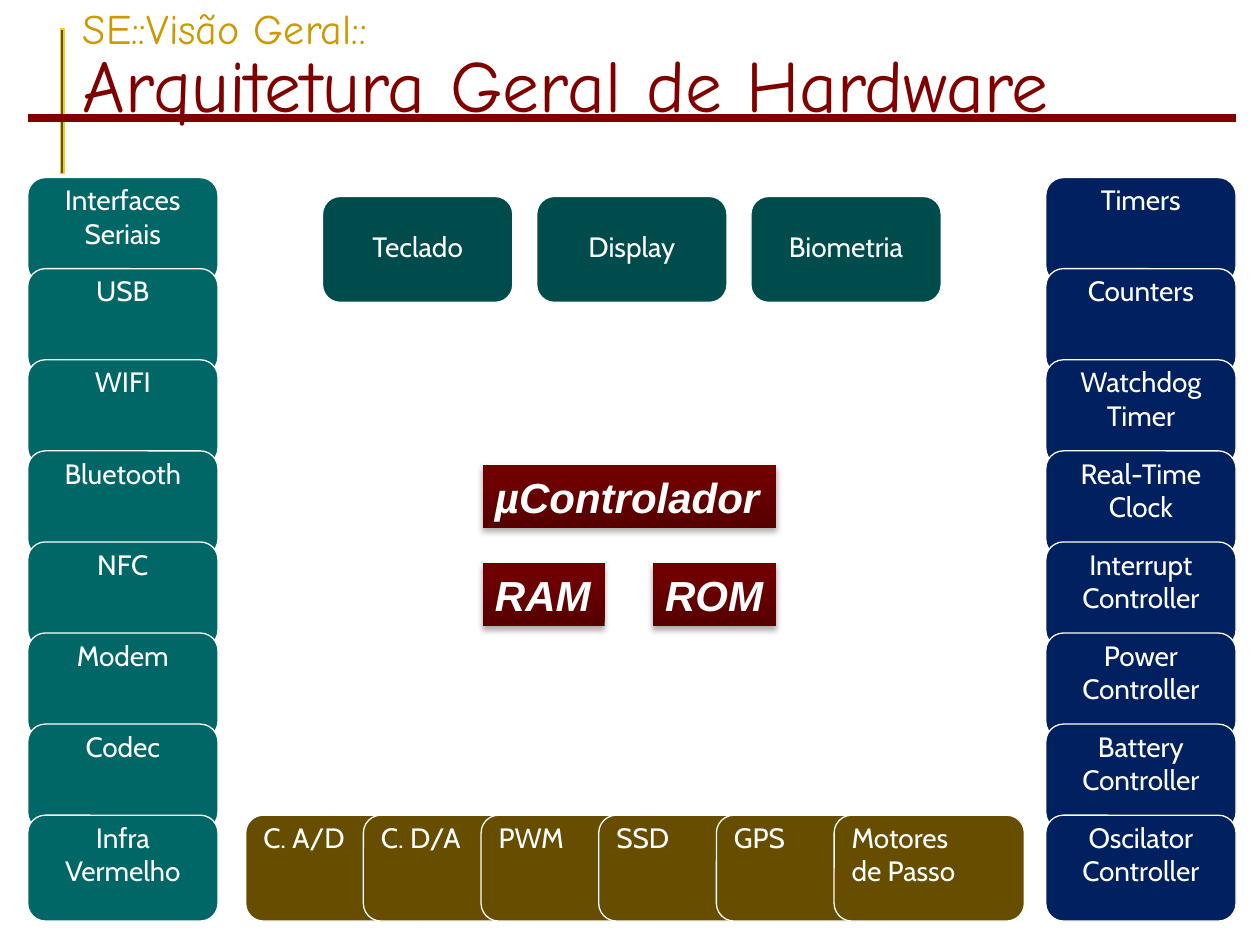
from lxml import etree
from pptx import Presentation
from pptx.dml.color import RGBColor
from pptx.enum.shapes import MSO_CONNECTOR, MSO_SHAPE
from pptx.enum.text import MSO_ANCHOR, PP_ALIGN
from pptx.oxml.ns import qn
from pptx.util import Inches, Pt

LEFT, CENTER = PP_ALIGN.LEFT, PP_ALIGN.CENTER
TOP, MIDDLE = MSO_ANCHOR.TOP, MSO_ANCHOR.MIDDLE
RECT, ROUNDED = MSO_SHAPE.RECTANGLE, MSO_SHAPE.ROUNDED_RECTANGLE

WHITE = RGBColor(0xFF, 0xFF, 0xFF)
GRAY = RGBColor(0x4D, 0x4D, 0x4D)
YELLOW = RGBColor(0xFF, 0xCC, 0x00)
GOLD = RGBColor(0xCC, 0x99, 0x00)
MAROON = RGBColor(0x80, 0x00, 0x00)
DARK_RED = RGBColor(0x56, 0x00, 0x00)
RED = RGBColor(0x6F, 0x00, 0x00)
TEAL = RGBColor(0x00, 0x66, 0x66)
DARK_TEAL = RGBColor(0x00, 0x4C, 0x4D)
NAVY = RGBColor(0x00, 0x20, 0x60)
BROWN = RGBColor(0x66, 0x4D, 0x00)

CARD_W, CARD_H = 1.51, 0.84
MARGIN, RIGHT = 0.22, 9.81
STACK_TOP, STACK_BOTTOM = 1.41, 6.47
ROW_STEP = (STACK_BOTTOM - STACK_TOP) / 7

INTERFACES = ["Interfaces Seriais", "USB", "WIFI", "Bluetooth", "NFC",
              "Modem", "Codec", "Infra Vermelho"]
CONTROLLERS = ["Timers", "Counters", "Watchdog\nTimer", "Real-Time Clock",
               "Interrupt Controller", "Power\nController",
               "Battery\nController", "Oscilator\nController"]
USER_DEVICES = ["Teclado", "Display", "Biometria"]
PERIPHERALS = ["C. A/D", "C. D/A", "PWM", "SSD", "GPS", "Motores\vde Passo"]


def add_box(slide, kind, x, y, w, h):
    sp = slide.shapes.add_shape(kind, Inches(x), Inches(y), Inches(w), Inches(h))
    sp.shadow.inherit = False
    return sp


def fill_and_outline(sp, fill, outline):
    sp.fill.solid()
    sp.fill.fore_color.rgb = fill
    sp.line.color.rgb = outline
    sp.line.width = Pt(0.75)


def style_paragraph(p, font, size, align):
    p.alignment = align
    p.font.name = font
    p.font.size = Pt(size)
    p.font.color.rgb = WHITE


def add_cards(slide, labels, x, y, dx, dy, color, align=CENTER, anchor=TOP):
    """Place equal cards from (x, y), each shifted by (dx, dy) from the last."""
    for i, label in enumerate(labels):
        sp = add_box(slide, ROUNDED, x + i * dx, y + i * dy, CARD_W, CARD_H)
        fill_and_outline(sp, color, WHITE)
        tf = sp.text_frame
        tf.word_wrap = True
        tf.margin_top = 0
        tf.vertical_anchor = anchor
        tf.text = label
        for p in tf.paragraphs:
            style_paragraph(p, "Cabin", 16, align)


def add_drop_shadow(sp):
    effects = sp._element.spPr.find(qn("a:effectLst"))
    shadow = etree.SubElement(effects, qn("a:outerShdw"), blurRad=str(Pt(3.5)),
                              dist=str(Pt(2.2)), dir="5400000", rotWithShape="0")
    color = etree.SubElement(shadow, qn("a:srgbClr"), val="000000")
    etree.SubElement(color, qn("a:alpha"), val="32000")


def add_chip(slide, label, x, y, w):
    sp = add_box(slide, RECT, x, y, w, 0.5)
    sp.line.fill.background()
    sp.fill.gradient()
    sp.fill.gradient_angle = 90
    for stop, color, position in zip(sp.fill.gradient_stops, (DARK_RED, RED), (0, 0.8)):
        stop.color.rgb = color
        stop.position = position
    add_drop_shadow(sp)
    tf = sp.text_frame
    tf.word_wrap = False
    tf.vertical_anchor = TOP
    tf.text = label
    p = tf.paragraphs[0]
    style_paragraph(p, "Arial", 24, LEFT)
    p.font.bold = p.font.italic = True


def add_rules(slide):
    bar = add_box(slide, RECT, 0.48, 0.23, 0.03, 1.15)
    fill_and_outline(bar, GRAY, YELLOW)
    y = Inches(0.94)
    rule = slide.shapes.add_connector(MSO_CONNECTOR.STRAIGHT, Inches(MARGIN), y,
                                      Inches(RIGHT), y)
    rule.line.color.rgb = MAROON
    rule.line.width = Pt(4.5)
    etree.SubElement(rule._element.spPr, qn("a:effectLst"))


def add_title(slide):
    sp = slide.shapes.add_textbox(Inches(0.56), Inches(-0.08), Inches(9.44), Inches(1.25))
    tf = sp.text_frame
    tf.word_wrap = True
    tf.vertical_anchor = MIDDLE
    p = tf.paragraphs[0]
    p.line_spacing = 0.85
    p.font.name = "Comic Neue"
    section, heading = p.add_run(), None
    p.add_line_break()
    heading = p.add_run()
    for r, text, size, color in ((section, "SE::Visão Geral::", 24, GOLD),
                                 (heading, "Arquitetura Geral de Hardware", 42, MAROON)):
        r.text = text
        r.font.size = Pt(size)
        r.font.color.rgb = color


def main():
    prs = Presentation()
    prs.slide_width, prs.slide_height = Inches(10), Inches(7.5)
    slide = prs.slides.add_slide(prs.slide_layouts[6])

    add_rules(slide)
    add_title(slide)
    add_cards(slide, USER_DEVICES, 2.56, 1.56, 1.7, 0, DARK_TEAL, anchor=MIDDLE)
    add_cards(slide, PERIPHERALS, 1.95, STACK_BOTTOM, 0.934, 0, BROWN, align=LEFT)
    add_cards(slide, CONTROLLERS, RIGHT - CARD_W, STACK_TOP, 0, ROW_STEP, NAVY)
    add_cards(slide, INTERFACES, MARGIN, STACK_TOP, 0, ROW_STEP, TEAL)
    add_chip(slide, "µControlador", 3.83, 3.69, 2.33)
    add_chip(slide, "RAM", 3.83, 4.47, 0.97)
    add_chip(slide, "ROM", 5.18, 4.47, 0.98)

    prs.save("out.pptx")


if __name__ == "__main__":
    main()
